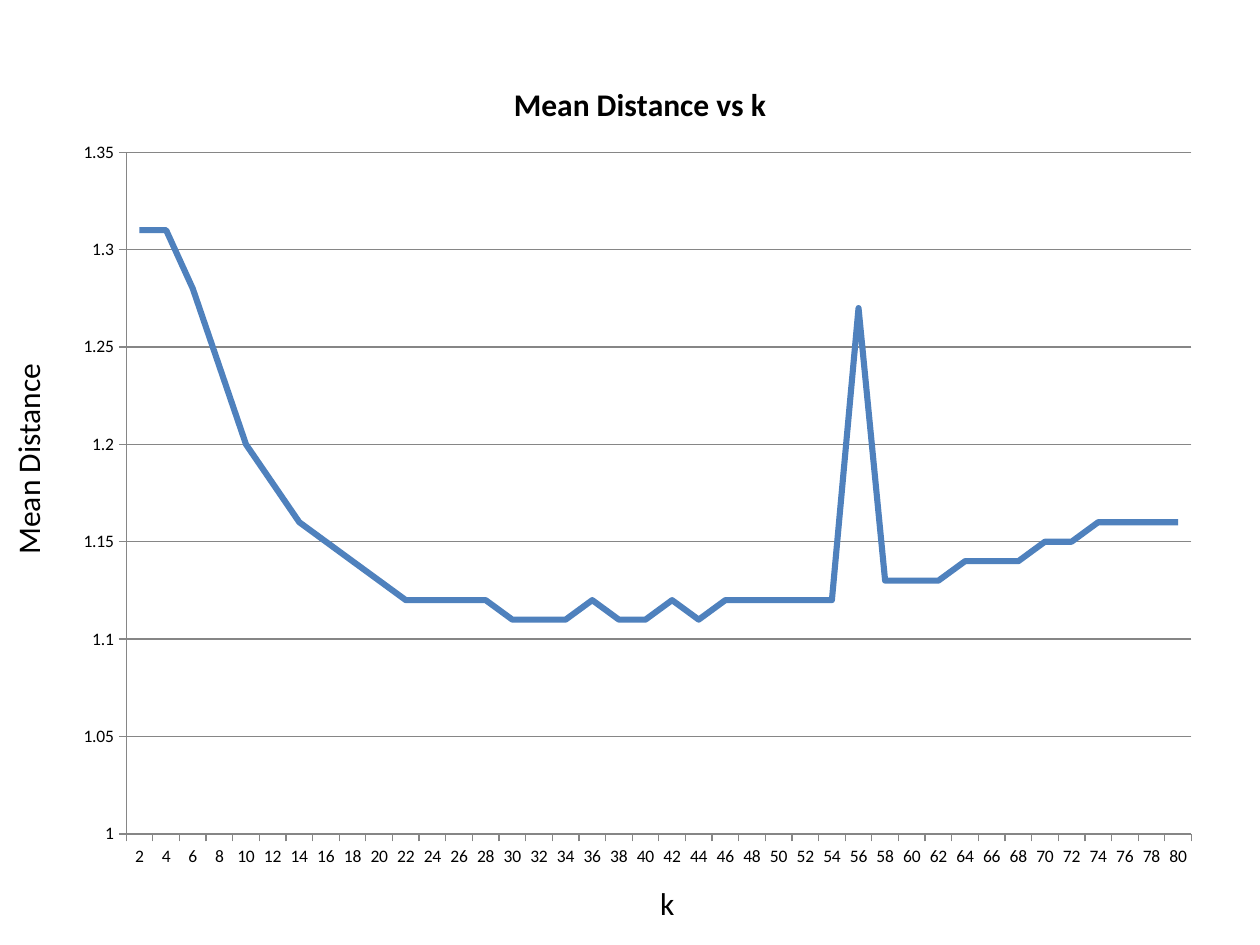
from pptx import Presentation
from pptx.chart.data import CategoryChartData
from pptx.dml.color import RGBColor
from pptx.enum.chart import XL_CHART_TYPE, XL_TICK_MARK
from pptx.enum.text import MSO_AUTO_SIZE, PP_ALIGN
from pptx.oxml import parse_xml
from pptx.oxml.ns import nsdecls
from pptx.util import Inches, Pt

THEME = {
    "font": "Calibri",
    "text": RGBColor(0x00, 0x00, 0x00),
    "line": RGBColor(0x4F, 0x81, 0xBD),
    "rule": RGBColor(0x86, 0x86, 0x86),
    "label_size": Pt(10),
    "title_size": Pt(18),
    "line_width": Pt(3.5),
    "rule_width": Pt(0.75),
}


def style_font(font, size, bold=False):
    font.name = THEME["font"]
    font.size = size
    font.bold = bold
    font.color.rgb = THEME["text"]


def manual_layout(target="", **shares):
    """Chart layout given as shares of the chart's size."""
    target_xml = f'<c:layoutTarget val="{target}"/>' if target else ""
    modes = '<c:xMode val="edge"/><c:yMode val="edge"/>'
    values = "".join(f'<c:{key} val="{share}"/>' for key, share in shares.items())
    return parse_xml(
        f'<c:layout {nsdecls("c")}><c:manualLayout>{target_xml}{modes}{values}'
        "</c:manualLayout></c:layout>"
    )


prs = Presentation()
prs.slide_width, prs.slide_height = Inches(10), Inches(7.5)
slide = prs.slides.add_slide(prs.slide_layouts[6])

# Mean distance for every even k
mean_distances = [
    1.31, 1.31, 1.28, 1.24, 1.20, 1.18, 1.16, 1.15, 1.14, 1.13,
    1.12, 1.12, 1.12, 1.12, 1.11, 1.11, 1.11, 1.12, 1.11, 1.11,
    1.12, 1.11, 1.12, 1.12, 1.12, 1.12, 1.12, 1.27, 1.13, 1.13,
    1.13, 1.14, 1.14, 1.14, 1.15, 1.15, 1.16, 1.16, 1.16, 1.16,
]
distance_data = CategoryChartData()
distance_data.categories = [str(k) for k in range(2, 81, 2)]
distance_data.add_series("Series 1", mean_distances)

# Line chart
chart = slide.shapes.add_chart(
    XL_CHART_TYPE.LINE, Inches(0.45), Inches(0.34), Inches(9.19), Inches(6.68),
    distance_data,
).chart
style_font(chart.font, THEME["label_size"])
chart.has_legend = False
plot = chart.plots[0]
plot.vary_by_categories = False
distance_line = plot.series[0]
distance_line.smooth = False
distance_line.format.line.color.rgb = THEME["line"]
distance_line.format.line.width = THEME["line_width"]

# Chart title
chart.has_title = True
heading = chart.chart_title
heading.include_in_layout = False
heading_run = heading.text_frame.paragraphs[0].add_run()
heading_run.text = "Mean Distance vs k"
style_font(heading_run.font, THEME["title_size"], bold=True)

# Places of the title and the plot inside the chart
title_xml = chart._chartSpace.chart.find("{*}title")
plot_xml = chart._chartSpace.chart.plotArea
for parent, position, layout in (
    (title_xml, 1, manual_layout(x=0.39, y=0.04)),
    (plot_xml, 0, manual_layout("inner", x=0.06, y=0.13, w=0.92, h=0.81)),
):
    for old_layout in parent.findall("{*}layout"):
        parent.remove(old_layout)
    parent.insert(position, layout)

# Axes and gridlines
k_axis, distance_axis = chart.category_axis, chart.value_axis
distance_axis.minimum_scale, distance_axis.maximum_scale = 1, 1.35
distance_axis.major_unit = 0.05
distance_axis.has_major_gridlines = True
distance_axis.tick_labels.number_format = "General"
distance_axis.tick_labels.number_format_is_linked = False
for axis in (k_axis, distance_axis):
    axis.major_tick_mark = XL_TICK_MARK.OUTSIDE
    axis.minor_tick_mark = XL_TICK_MARK.NONE
    style_font(axis.tick_labels.font, THEME["label_size"])
for rule in (k_axis, distance_axis, distance_axis.major_gridlines):
    rule.format.line.color.rgb = THEME["rule"]
    rule.format.line.width = THEME["rule_width"]

# Axis names: wording, left, top, width, rotation
for wording, left, top, width, rotation in (
    ("Mean Distance", -0.65, 3.43, 1.74, 270),
    ("k", 5.14, 6.97, 0.32, 0),
):
    axis_name = slide.shapes.add_textbox(
        Inches(left), Inches(top), Inches(width), Inches(0.4)
    )
    axis_name.rotation = rotation
    frame = axis_name.text_frame
    frame.word_wrap = False
    frame.auto_size = MSO_AUTO_SIZE.SHAPE_TO_FIT_TEXT
    frame.paragraphs[0].alignment = PP_ALIGN.LEFT
    name_run = frame.paragraphs[0].add_run()
    name_run.text = wording
    style_font(name_run.font, THEME["title_size"])

prs.save("out.pptx")
